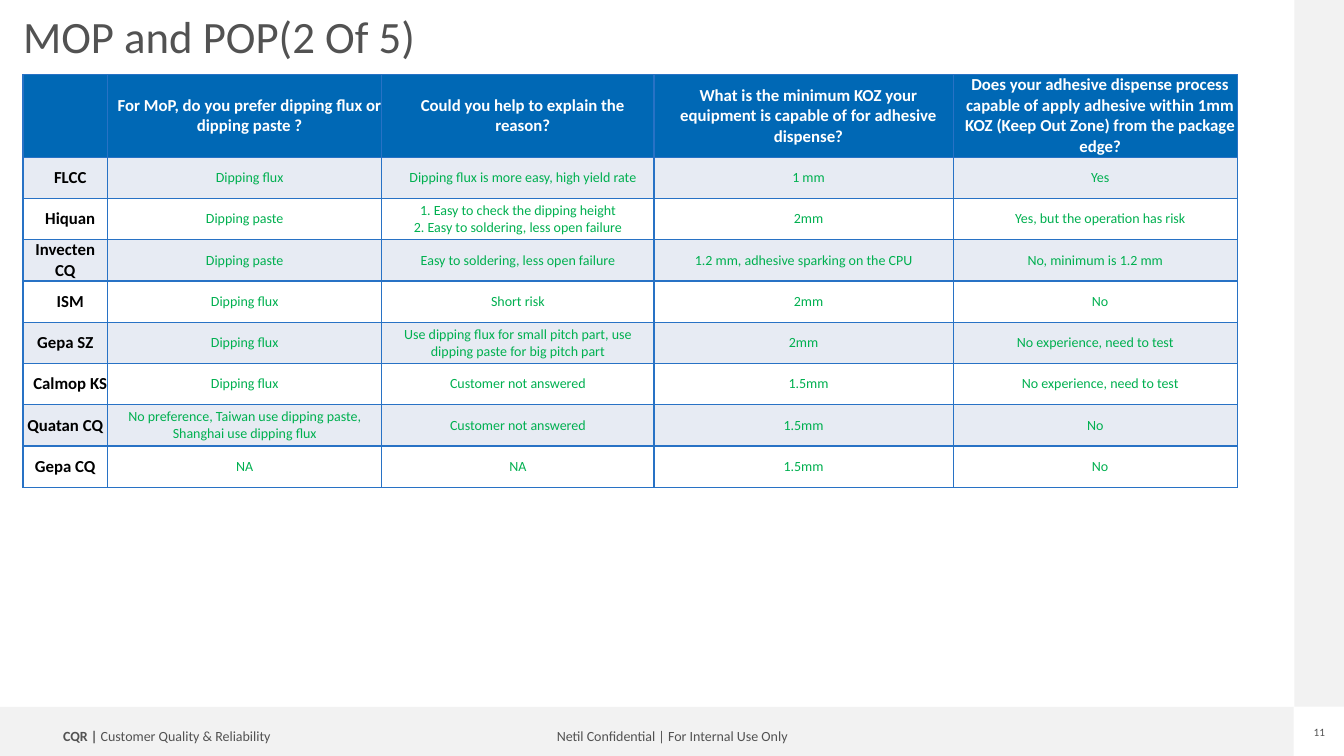
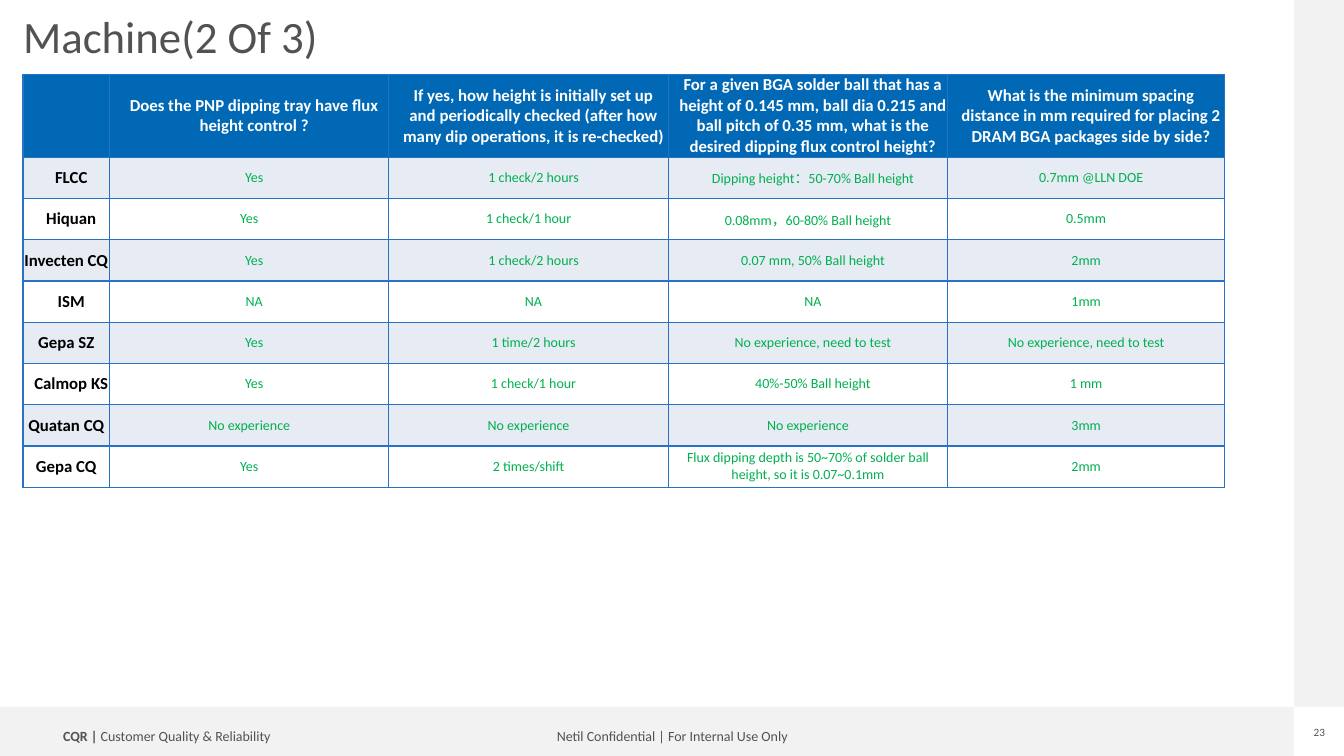
from lxml import etree
from pptx import Presentation
from pptx import util as u
from pptx.dml.color import RGBColor
from pptx.enum import shapes, text
from pptx.oxml import ns

FONT = "Calibri"
COLORS = {
    "band": "F2F2F2",
    "grey": "525252",
    "header": "0068B5",
    "stripe": "E7EBF3",
    "white": "FFFFFF",
    "black": "000000",
    "answer": "00B050",
    "border": "2872C5",
}
# Left and right cell margins in cm: W is indented on the left, T is tight
MARGINS = {"W": (0.25, 0), "T": (0.03, 0.03)}
LEFT, TABLE_TOP = 0.58, 1.88
HEADER_HEIGHT, ROW_HEIGHT = 2.08, 1.04

# Each answer row: cell margins, customer, four answers
SURVEYS = [
    {
        "title": "MOP and POP(2 Of 5)",
        "page": "11",
        "columns": [2.13, 6.91, 6.86, 7.54, 7.16],
        "questions": [
            "",
            "For MoP, do you prefer dipping flux or dipping paste ?",
            "Could you help to explain the reason?",
            "What is the minimum KOZ your equipment is capable of for adhesive dispense?",
            "Does your adhesive dispense process capable of apply adhesive within 1mm KOZ "
            "(Keep Out Zone) from the package edge?",
        ],
        "answers": [
            ("WWWWW", "FLCC", "Dipping flux", "Dipping flux is more easy, high yield rate",
             "1 mm", "Yes"),
            ("WTTWW", "Hiquan", "Dipping paste",
             "1. Easy to check the dipping height\n2. Easy to soldering, less open failure",
             "2mm", "Yes, but the operation has risk"),
            ("TTTTT", "Invecten CQ", "Dipping paste", "Easy to soldering, less open failure",
             "1.2 mm, adhesive sparking on the CPU", "No, minimum is 1.2 mm"),
            ("WTTWW", "ISM", "Dipping flux", "Short risk", "2mm", "No"),
            ("TTTTT", "Gepa SZ", "Dipping flux",
             "Use dipping flux for small pitch part, use dipping paste for big pitch part",
             "2mm", "No experience, need to test"),
            ("WTTWW", "Calmop KS", "Dipping flux", "Customer not answered", "1.5mm",
             "No experience, need to test"),
            ("TTTTT", "Quatan CQ",
             "No preference, Taiwan use dipping paste, Shanghai use dipping flux",
             "Customer not answered", "1.5mm", "No"),
            ("TTTTW", "Gepa CQ", "NA", "NA", "1.5mm", "No"),
        ],
    },
    {
        "title": "Machine(2 Of 3)",
        "page": "23",
        "columns": [2.18, 7.04, 7.04, 7.04, 6.98],
        "questions": [
            "",
            "Does the PNP dipping tray have flux height control ?",
            "If yes, how height is initially set up and periodically checked "
            "(after how many dip operations, it is re-checked)",
            "For a given BGA solder ball that has a height of 0.145 mm, ball dia 0.215 and "
            "ball pitch of 0.35 mm, what is the desired dipping flux control height?",
            "What is the minimum spacing distance in mm required for placing 2 DRAM BGA "
            "packages side by side?",
        ],
        "answers": [
            ("WWWWW", "FLCC", "Yes", "1 check/2 hours", "Dipping height：50-70% Ball height",
             "0.7mm @LLN DOE"),
            ("WTTTT", "Hiquan", "Yes", "1 check/1 hour", "0.08mm，60-80% Ball height", "0.5mm"),
            ("TWWWT", "Invecten CQ", "Yes", "1 check/2 hours", "0.07 mm, 50% Ball height", "2mm"),
            ("WWWWT", "ISM", "NA", "NA", "NA", "1mm"),
            ("TWWWT", "Gepa SZ", "Yes", "1 time/2 hours", "No experience, need to test",
             "No experience, need to test"),
            ("WWWWT", "Calmop KS", "Yes", "1 check/1 hour", "40%-50% Ball height", "1 mm"),
            ("TTTTT", "Quatan CQ", "No experience", "No experience", "No experience", "3mm"),
            ("TTTTT", "Gepa CQ", "Yes", "2 times/shift",
             "Flux dipping depth is 50~70% of solder ball height, so it is 0.07~0.1mm", "2mm"),
        ],
    },
]


def add_run(paragraph, words, size, color, bold=False):
    run = paragraph.add_run()
    run.text = words
    run.font.name = FONT
    run.font.size = u.Pt(size)
    run.font.bold = bold
    run.font.color.rgb = RGBColor.from_string(COLORS[color])


def add_label(slide, left, top, width, height, align, runs, size):
    """Add a one-line grey label without margins; runs are (words, bold) pairs."""
    label = slide.shapes.add_textbox(u.Cm(left), u.Cm(top), u.Cm(width), u.Cm(height))
    frame = label.text_frame
    frame.word_wrap = True
    frame.margin_left = frame.margin_right = frame.margin_top = frame.margin_bottom = 0
    frame.vertical_anchor = text.MSO_ANCHOR.MIDDLE
    frame.paragraphs[0].alignment = align
    for words, bold in runs:
        add_run(frame.paragraphs[0], words, size, "grey", bold)
    return label


deck = Presentation()
deck.slide_width, deck.slide_height = u.Cm(33.87), u.Cm(19.05)
layout = deck.slide_layouts[5]
for placeholder in list(layout.placeholders):
    if placeholder.placeholder_format.idx >= 10:
        placeholder.element.getparent().remove(placeholder.element)
slides = [deck.slides.add_slide(layout) for survey in SURVEYS]

# Bands and footer labels are drawn once and moved to the shared layout
shared = []
for left, top, width, height in [(0, 17.81, 32.6, 1.24), (32.62, 0, 1.25, 17.81)]:
    band = slides[0].shapes.add_shape(
        shapes.MSO_SHAPE.RECTANGLE, u.Cm(left), u.Cm(top), u.Cm(width), u.Cm(height))
    band.shadow.inherit = False
    band.fill.solid()
    band.fill.fore_color.rgb = RGBColor.from_string(COLORS["band"])
    band.line.fill.background()
    shared.append(band)
shared.append(add_label(slides[0], 13.44, 18.24, 7, 0.63, text.PP_ALIGN.CENTER,
                        [("Netil Confidential | For Internal Use Only", False)], 10))
shared.append(add_label(slides[0], 1.59, 18.24, 7, 0.63, text.PP_ALIGN.LEFT,
                        [("CQR | ", True), ("Customer Quality & Reliability", False)], 10))
for part in shared:
    layout.shapes.element.append(part.element)

for slide, survey in zip(slides, SURVEYS):
    title = slide.shapes.title
    title.left, title.top = u.Cm(LEFT), u.Cm(0.36)
    title.width, title.height = u.Cm(30.58), u.Cm(2.64)
    heading = title.text_frame
    heading.margin_left = heading.margin_right = 0
    heading.margin_top = heading.margin_bottom = 0
    heading.vertical_anchor = text.MSO_ANCHOR.TOP
    heading.auto_size = text.MSO_AUTO_SIZE.NONE
    heading.paragraphs[0].alignment = text.PP_ALIGN.LEFT
    heading.paragraphs[0].line_spacing = 0.9
    add_run(heading.paragraphs[0], survey["title"], 32, "grey")

    add_label(slide, 32.82, 18.28, 0.86, 0.34, text.PP_ALIGN.CENTER,
              [(survey["page"], False)], 8)

    rows = [("WWWWW", *survey["questions"])] + survey["answers"]
    columns = survey["columns"]
    table = slide.shapes.add_table(
        len(rows), len(columns), u.Cm(LEFT), u.Cm(TABLE_TOP), u.Cm(sum(columns)),
        u.Cm(HEADER_HEIGHT + ROW_HEIGHT * len(survey["answers"]))).table
    for column, width in zip(table.columns, columns):
        column.width = u.Cm(width)

    for r, (margins, *entries) in enumerate(rows):
        table.rows[r].height = u.Cm(ROW_HEIGHT if r else HEADER_HEIGHT)
        fill = "header" if r == 0 else "stripe" if r % 2 else "white"
        for c, (margin, entry) in enumerate(zip(margins, entries)):
            cell = table.cell(r, c)
            cell.margin_left, cell.margin_right = [u.Cm(side) for side in MARGINS[margin]]
            cell.margin_top = cell.margin_bottom = 0
            cell.vertical_anchor = text.MSO_ANCHOR.MIDDLE
            properties = cell._tc.get_or_add_tcPr()
            for edge in ("a:lnL", "a:lnR", "a:lnT", "a:lnB"):
                border = etree.SubElement(properties, ns.qn(edge), w=str(u.Pt(1)))
                paint = etree.SubElement(border, ns.qn("a:solidFill"))
                etree.SubElement(paint, ns.qn("a:srgbClr"), val=COLORS["border"])
            cell.fill.solid()
            cell.fill.fore_color.rgb = RGBColor.from_string(COLORS[fill])

            if r == 0:
                size, color, bold = 12, "white", True
            elif c == 0:
                size, color, bold = 12, "black", True
            else:
                size, color, bold = 10, "answer", False
            for i, line in enumerate(entry.split("\n") if entry else []):
                frame = cell.text_frame
                paragraph = frame.add_paragraph() if i else frame.paragraphs[0]
                paragraph.alignment = text.PP_ALIGN.CENTER
                add_run(paragraph, line, size, color, bold)

deck.save("out.pptx")
